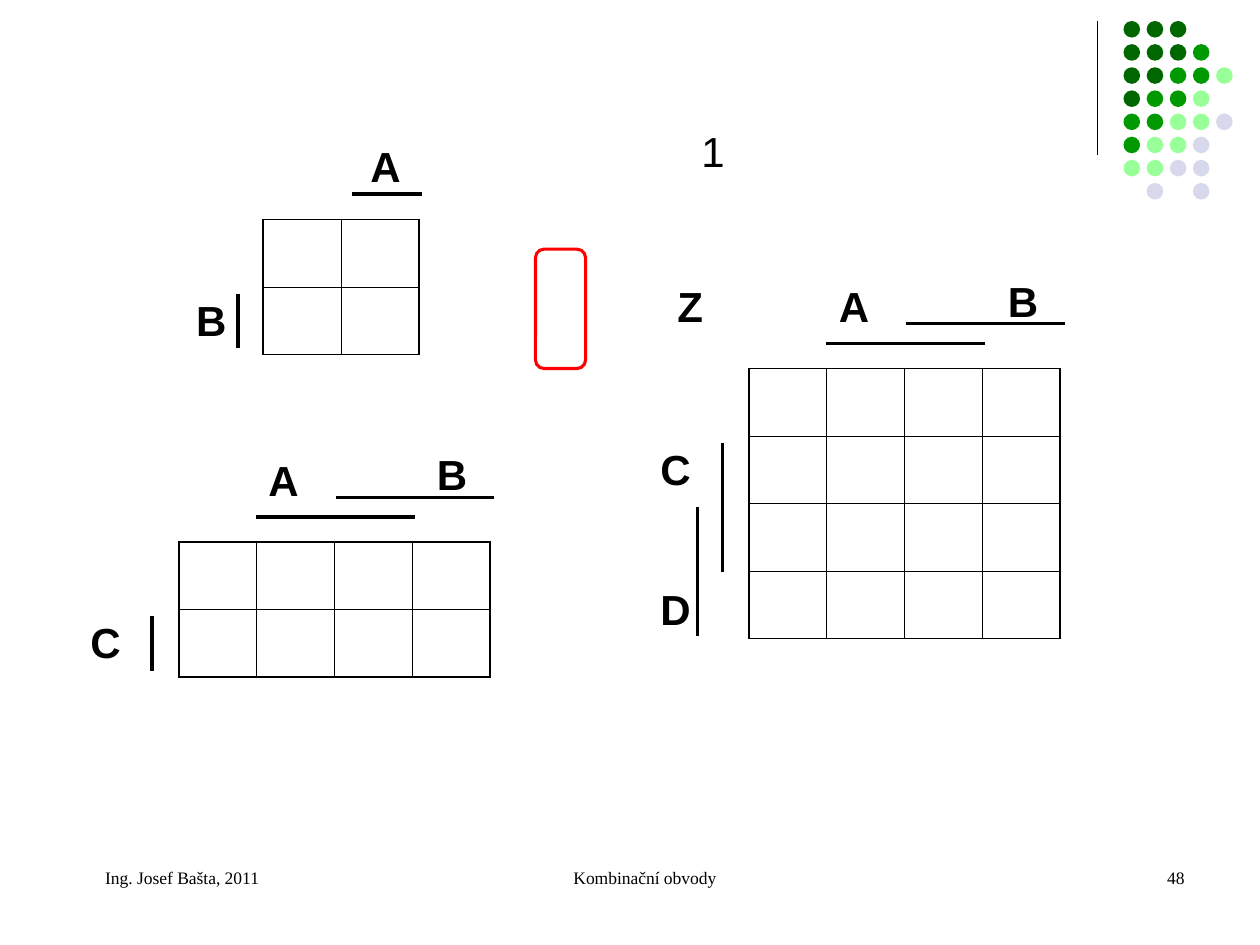
from dataclasses import dataclass

from lxml import etree
from pptx import Presentation
from pptx import util as u
from pptx.dml.color import RGBColor
from pptx.enum import shapes, text
from pptx.oxml.ns import qn

BLACK = "000000"
COL_W, ROW_H = 44.45, 38.6
OUTER, INNER = 1.08, 0.45


@dataclass
class Bar:
    x1: float
    y1: float
    x2: float
    y2: float


@dataclass
class Label:
    text: str
    x: float
    y: float
    w: float = 34


@dataclass
class KMap:
    x: float
    y: float
    rows: int
    cols: int
    bars: list[Bar]
    labels: list[Label]


MAPS = [
    KMap(427.9, 210.5, 4, 4,
         [Bar(472.3, 196.2, 563, 196.2), Bar(517.7, 185, 608.4, 185),
          Bar(412.8, 253, 412.8, 326.7), Bar(398.6, 290, 398.6, 363.5)],
         [Label("A", 472.3, 157), Label("B", 568.8, 154), Label("C", 370.3, 250),
          Label("D", 370.3, 330), Label("Z", 380, 157, 54)]),
    KMap(102.1, 309.7, 2, 4,
         [Bar(146.2, 295.3, 237, 295.3), Bar(191.8, 284.2, 282.4, 284.2),
          Bar(87, 352.2, 87, 383.6)],
         [Label("A", 146.2, 256), Label("B", 242.6, 253), Label("C", 44.6, 349)]),
    KMap(150.4, 125.4, 2, 2,
         [Bar(201.3, 111, 241.1, 111), Bar(136.1, 167.8, 136.1, 199.1)],
         [Label("A", 204.5, 77), Label("B", 105, 165)]),
]

# Corner dots: one letter per dot colour, "." for a gap
DOT_COLORS = {"d": "006600", "m": "009900", "l": "99FF99", "g": "D8D8EC"}
DOT_ROWS = ["ddd", "dddm", "ddmml", "dmml", "mmllg", "mllg", "llgg", ".g.g"]


def rgb(hex_color: str) -> RGBColor:
    return RGBColor.from_string(hex_color)


def add_text(parent, content: str, x: float, y: float, w: float, h: float, *,
             size: float = 24, font: str = "Arial", bold: bool = False,
             align=text.PP_ALIGN.LEFT, indent: float = 0) -> None:
    tf = parent.add_textbox(u.Pt(x), u.Pt(y), u.Pt(w), u.Pt(h)).text_frame
    tf.word_wrap = True
    p = tf.paragraphs[0]
    p.alignment = align
    if indent:
        p._p.get_or_add_pPr().set("marL", str(u.Pt(indent)))
    r = p.add_run()
    r.text = content
    r.font.size, r.font.name, r.font.bold = u.Pt(size), font, bold
    r.font.color.rgb = rgb(BLACK)


def add_line(parent, bar: Bar, width: float) -> None:
    c = parent.add_connector(shapes.MSO_CONNECTOR.STRAIGHT, u.Pt(bar.x1), u.Pt(bar.y1),
                             u.Pt(bar.x2), u.Pt(bar.y2))
    c.line.width = u.Pt(width)
    c.line.color.rgb = rgb(BLACK)
    etree.SubElement(c._element.spPr, qn("a:effectLst"))


def set_border(cell, side: str, width: float) -> None:
    ln = etree.SubElement(cell._tc.get_or_add_tcPr(), qn(f"a:{side}"), w=str(u.Pt(width)))
    fill = etree.SubElement(ln, qn("a:solidFill"))
    etree.SubElement(fill, qn("a:srgbClr"), val=BLACK)


def add_grid(s, m: KMap) -> None:
    table = s.shapes.add_table(m.rows, m.cols, u.Pt(m.x), u.Pt(m.y),
                               u.Pt(m.cols * COL_W), u.Pt(m.rows * ROW_H)).table
    table.first_row = table.horz_banding = False
    for col in table.columns:
        col.width = u.Pt(COL_W)
    for i, row in enumerate(table.rows):
        row.height = u.Pt(ROW_H)
        for j, cell in enumerate(row.cells):
            edges = {"lnL": j == 0, "lnR": j == m.cols - 1,
                     "lnT": i == 0, "lnB": i == m.rows - 1}
            for side, on_edge in edges.items():
                set_border(cell, side, OUTER if on_edge else INNER)
            cell.fill.background()


def add_marks(s, m: KMap) -> None:
    group = s.shapes.add_group_shape().shapes
    for bar in m.bars:
        add_line(group, bar, 2)
    for label in m.labels:
        add_text(group, label.text, label.x, label.y, label.w, 36, bold=True)


def add_dots(s, x: float, y: float, size: float, pitch: float) -> None:
    group = s.shapes.add_group_shape().shapes
    for i, row in enumerate(DOT_ROWS):
        for j, key in enumerate(row):
            if key == ".":
                continue
            sp = group.add_shape(shapes.MSO_SHAPE.OVAL, u.Pt(x + j * pitch),
                                 u.Pt(y + i * pitch), u.Pt(size), u.Pt(size))
            sp.shadow.inherit = False
            sp.fill.solid()
            sp.fill.fore_color.rgb = rgb(DOT_COLORS[key])
            sp.line.fill.background()


def main() -> None:
    prs = Presentation()
    prs.slide_width, prs.slide_height = u.Pt(720), u.Pt(540)
    s = prs.slides.add_slide(prs.slide_layouts[6])

    # Corner decoration
    add_line(s.shapes, Bar(627, 12, 627, 88.5), 0.75)
    add_dots(s, 642, 12, 9.5, 13.22)

    # Karnaugh maps
    for m in MAPS:
        add_grid(s, m)
        add_marks(s, m)

    # Sample value and loop
    add_text(s.shapes, "1", 385.2, 68.4, 44.6, 38, align=text.PP_ALIGN.CENTER)
    loop = s.shapes.add_shape(shapes.MSO_SHAPE.ROUNDED_RECTANGLE,
                              u.Pt(306), u.Pt(142.4), u.Pt(28.6), u.Pt(68.2))
    loop.adjustments[0] = 0.17
    loop.shadow.inherit = False
    loop.fill.background()
    loop.line.color.rgb = rgb("FF0000")
    loop.line.width = u.Pt(1.75)

    # Footer
    for content, x, w, align in [
        ("Ing. Josef Bašta, 2011", 36, 168, text.PP_ALIGN.LEFT),
        ("Kombinační obvody", 246, 228, text.PP_ALIGN.CENTER),
        ("48", 516, 168, text.PP_ALIGN.RIGHT),
    ]:
        add_text(s.shapes, content, x, 492, w, 36, size=10,
                 font="Times New Roman", align=align, indent=17)

    prs.save("out.pptx")


if __name__ == "__main__":
    main()
